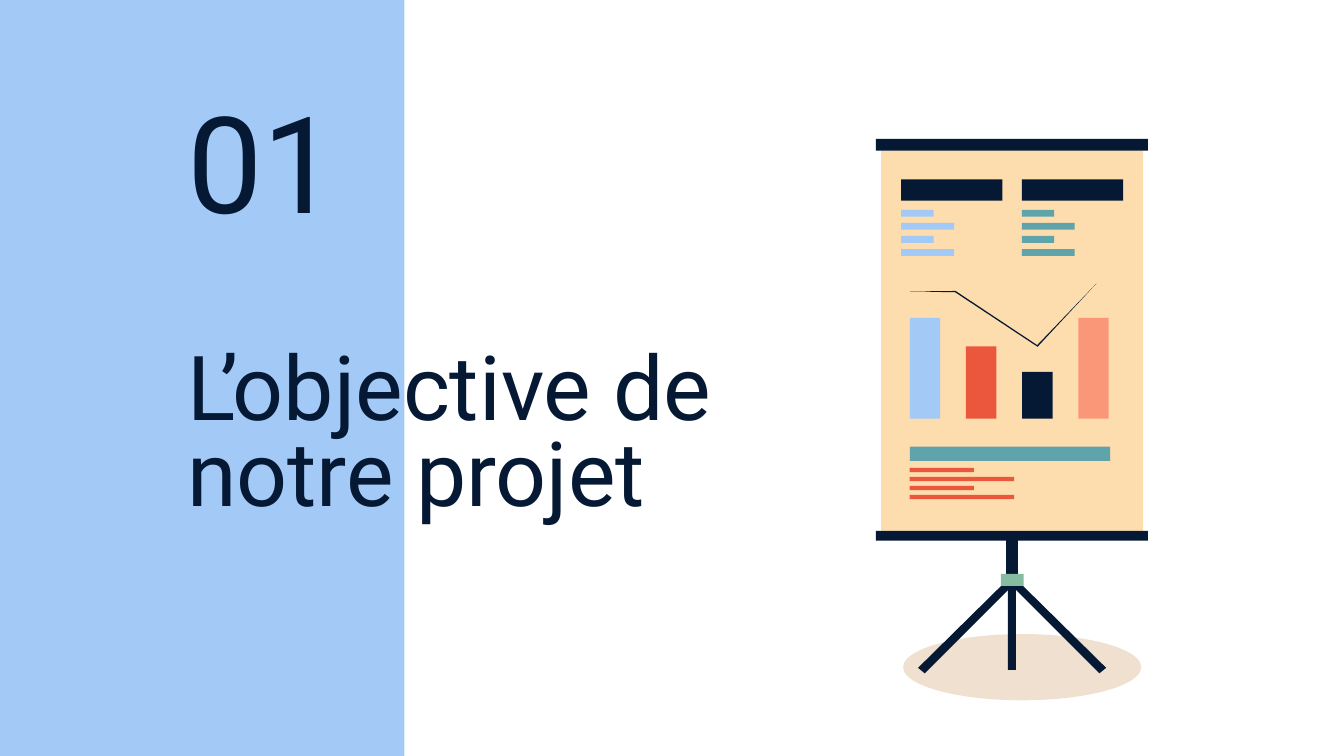
from lxml import etree
from pptx import Presentation
from pptx.dml.color import RGBColor
from pptx.enum.shapes import MSO_SHAPE
from pptx.enum.text import MSO_ANCHOR, MSO_AUTO_SIZE, PP_ALIGN
from pptx.oxml.ns import qn
from pptx.util import Pt

RECT, OVAL = MSO_SHAPE.RECTANGLE, MSO_SHAPE.OVAL
MIDDLE, BOTTOM = MSO_ANCHOR.MIDDLE, MSO_ANCHOR.BOTTOM
LEFT = PP_ALIGN.LEFT
NO_FIT = MSO_AUTO_SIZE.NONE

FONT = "Roboto"
COLORS = {
    "navy": "051934",
    "sky": "A3CAF7",
    "paper": "FDDCAE",
    "teal": "5FA4AB",
    "red": "EB573D",
    "salmon": "FA9778",
    "green": "85BCA2",
    "ground": "B45F06",
}


def paint(shape, color):
    """Give a flat fill without outline or shadow."""
    shape.shadow.inherit = False
    shape.fill.solid()
    shape.fill.fore_color.rgb = RGBColor.from_string(COLORS[color])
    shape.line.fill.background()
    return shape


def add_block(shapes, left, top, width, height, color, kind=RECT):
    block = shapes.add_shape(kind, Pt(left), Pt(top), Pt(width), Pt(height))
    return paint(block, color)


def add_polygon(shapes, points, color):
    start, *rest = [(Pt(x), Pt(y)) for x, y in points]
    builder = shapes.build_freeform(*start)
    builder.add_line_segments(rest, close=True)
    return paint(builder.convert_to_shape(), color)


def add_stripes(shapes, left, top, step, height, widths, color):
    """Stack bars that stand for lines of text."""
    for row, width in enumerate(widths):
        add_block(shapes, left, top + row * step, width, height, color)


def set_opacity(shape, percent):
    color = shape.fill._xPr.find(f"{qn('a:solidFill')}/{qn('a:srgbClr')}")
    etree.SubElement(color, qn("a:alpha"), val=str(percent * 1000))


def fill_heading(placeholder, box, text, size, anchor, spacing):
    left, top, width, height = box
    placeholder.left, placeholder.top = Pt(left), Pt(top)
    placeholder.width, placeholder.height = Pt(width), Pt(height)
    frame = placeholder.text_frame
    frame.word_wrap = True
    frame.auto_size = NO_FIT
    frame.vertical_anchor = anchor
    frame.margin_left = frame.margin_right = Pt(7.2)
    frame.margin_top = frame.margin_bottom = Pt(7.2)
    paragraph = frame.paragraphs[0]
    paragraph.alignment = LEFT
    paragraph.line_spacing = spacing
    paragraph.space_before = Pt(0)
    run = paragraph.add_run()
    run.text = text
    run.font.name = FONT
    run.font.size = Pt(size)
    run.font.color.rgb = RGBColor.from_string(COLORS["navy"])


def add_tripod(shapes):
    center = 542.2
    leg = [(-1.5, 309.6), (-50.4, 357.8), (-46.8, 360.7), (1.4, 312.5)]
    for side in (1, -1):
        add_polygon(shapes, [(center + side * x, y) for x, y in leg], "navy")
    add_block(shapes, 540, 304, 4.3, 55, "navy")
    add_block(shapes, 539, 284.4, 6.3, 29.5, "navy")
    add_block(shapes, 536.2, 307.4, 12.2, 6.5, "green")


def add_board(shapes):
    add_block(shapes, 472, 80.6, 140.4, 203.8, "paper")
    add_block(shapes, 469.3, 284.4, 145.7, 5.3, "navy")
    add_block(shapes, 469.3, 74.4, 145.7, 6.4, "navy")


def add_board_content(shapes):
    for left, color in ((482.8, "sky"), (547.4, "teal")):
        add_block(shapes, left, 96.1, 54.3, 11.5, "navy")
        add_stripes(shapes, left, 112.4, 7, 3.7, (17.4, 28.4) * 2, color)

    edge = 487.4
    add_block(shapes, edge, 239.3, 107.3, 7.7, "teal")
    add_stripes(shapes, edge, 250.7, 4.8, 2.3, (34.4, 56) * 2, "red")

    bars = [(54, "sky"), (38.8, "red"), (25, "navy"), (54, "salmon")]
    for column, (height, color) in enumerate(bars):
        add_block(shapes, edge + column * 30.1, 224.3 - height, 16.3, height, color)

    trend = [(587.4, 151.9), (555.7, 184.9), (512, 155.9), (edge, 156.2),
             (511.7, 156.6), (555.9, 185.8)]
    add_polygon(shapes, trend, "navy")


def main():
    deck = Presentation()
    deck.slide_width, deck.slide_height = Pt(720), Pt(405)
    slide = deck.slides.add_slide(deck.slide_layouts[0])
    title, number = slide.placeholders

    side_panel = add_block(slide.shapes, 0, 0, 216.7, 405, "sky")
    title.element.addprevious(side_panel.element)
    fill_heading(title, (93, 201.6, 305.3, 66.2),
                 "L’objective de notre projet", 48, MIDDLE, 0.8)
    fill_heading(number, (93, 74.2, 198, 61.9), "01", 72, BOTTOM, 1)

    ground = add_block(slide.shapes, 483.8, 339.7, 127.6, 35.5, "ground", OVAL)
    set_opacity(ground, 19)
    flipchart = slide.shapes.add_group_shape().shapes
    add_tripod(flipchart)
    add_board(flipchart)
    add_board_content(flipchart)
    deck.save("out.pptx")


if __name__ == "__main__":
    main()
